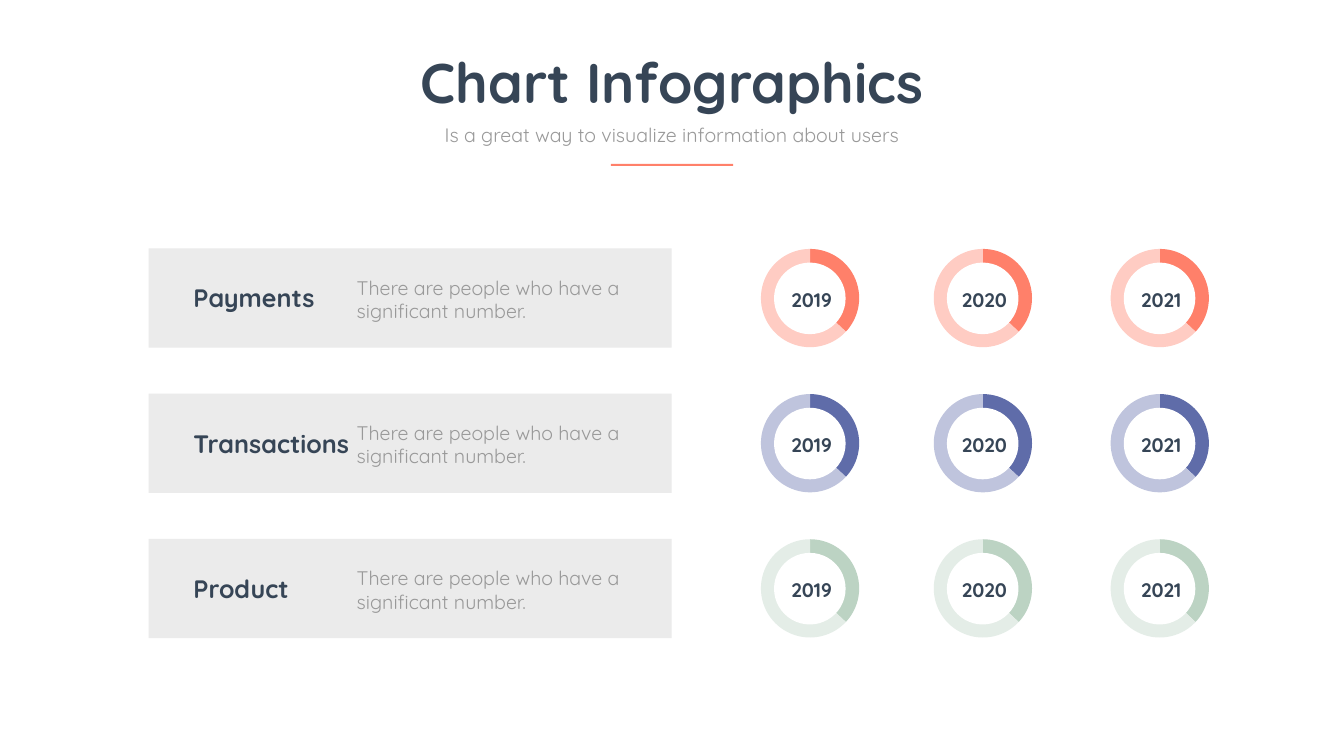
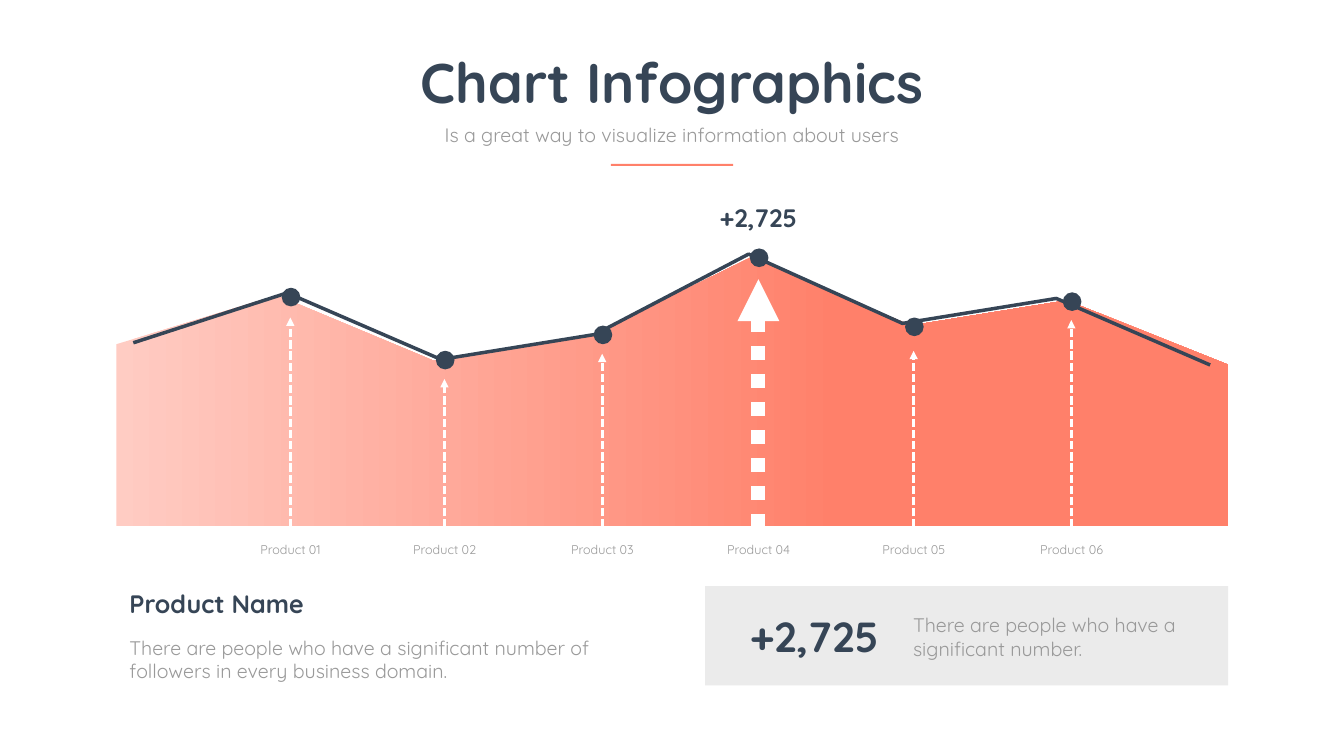
from dataclasses import dataclass

from lxml import etree
from pptx import Presentation
from pptx import util as u
from pptx.chart.data import CategoryChartData
from pptx.dml.color import RGBColor
from pptx.enum import chart as ch, dml, shapes, text
from pptx.oxml import parse_xml
from pptx.oxml.ns import nsdecls, qn

PX = 9144  # EMU in one px, 100 px to the inch
FONT = "Quicksand"
NAVY, GREY, PALE, WHITE = "364556", "999999", "EBEBEB", "FFFFFF"
CORAL, CORAL_LIGHT = "FF806A", "FFCCC3"
DESCRIPTION = "There are people who have a significant number."
GAIN = "+2,725"


@dataclass(frozen=True)
class Box:
    x: int
    y: int
    w: int
    h: int

    def emu(self) -> tuple:
        return tuple(u.Emu(v * PX) for v in (self.x, self.y, self.w, self.h))


@dataclass(frozen=True)
class Style:
    size: int
    color: str = GREY
    bold: bool = False
    align: text.PP_ALIGN = text.PP_ALIGN.LEFT
    inset: tuple = (10, 5)


@dataclass(frozen=True)
class Metric:
    name: str
    dark: str
    light: str


@dataclass(frozen=True)
class Product:
    x: int
    dot_top: int
    arrow_top: int
    best: bool = False


CENTER = text.PP_ALIGN.CENTER
TITLE = Style(80, NAVY, True, CENTER)
SUBTITLE = Style(28, align=CENTER)
HEADING = Style(36, NAVY, True)
HEADING_CENTER = Style(36, NAVY, True, CENTER)
BIG_NUMBER = Style(60, NAVY, True)
BODY = Style(28)
YEAR = Style(28, NAVY, True, CENTER, (6, 6))
AXIS_LABEL = Style(18, align=CENTER)

METRICS = (
    Metric("Payments", CORAL, CORAL_LIGHT),
    Metric("Transactions", "5F6CA9", "BFC4DD"),
    Metric("Product", "BCD3C3", "E4EDE7"),
)
YEAR_LEFTS = {"2019": 1509, "2020": 1852, "2021": 2203}
ROW_TOP, ROW_STEP = 493, 288
PANEL_W, PANEL_H = 1038, 197
SHARE = (37, 63)

PRODUCTS = (
    Product(576, 571, 630),
    Product(882, 696, 752),
    Product(1195, 646, 702),
    Product(1505, 493, 554, best=True),
    Product(1813, 630, 696),
    Product(2126, 580, 635),
)
AREA = ((231, 683), (550, 586), (861, 716), (1175, 665), (1492, 510),
        (1807, 646), (2117, 596), (2438, 724), (2438, 1044), (231, 1044))
TREND = (68, 86, 62, 71, 100, 75, 84, 60)
ARROW_BASE = 1047


def rgb(color: str) -> RGBColor:
    return RGBColor.from_string(color)


def write(sp, content: str, style: Style, fit=text.MSO_AUTO_SIZE.SHAPE_TO_FIT_TEXT) -> None:
    tf = sp.text_frame
    tf.word_wrap = True
    tf.auto_size = fit
    tf.vertical_anchor = text.MSO_ANCHOR.TOP
    tf.margin_left = tf.margin_right = u.Emu(style.inset[0] * PX)
    tf.margin_top = tf.margin_bottom = u.Emu(style.inset[1] * PX)
    p = tf.paragraphs[0]
    p.text = content
    p.alignment = style.align
    p.font.name, p.font.size, p.font.bold = FONT, u.Pt(style.size), style.bold
    p.font.color.rgb = rgb(style.color)


def add_text(s, box: Box, content: str, style: Style) -> None:
    write(s.shapes.add_textbox(*box.emu()), content, style)


def add_filled(s, box: Box, color: str, kind=shapes.MSO_SHAPE.RECTANGLE) -> None:
    sp = s.shapes.add_shape(kind, *box.emu())
    sp.shadow.inherit = False
    sp.fill.solid()
    sp.fill.fore_color.rgb = rgb(color)
    sp.line.fill.background()


def add_plain_chart(s, box: Box, kind, values: tuple, plot: tuple, font: str, size: int):
    """Add a one-series chart without legend, title or background; plot is x, y, w, h in fractions."""
    data = CategoryChartData()
    data.categories = [str(n) for n in range(1, len(values) + 1)]
    data.add_series("Series 1", values)
    chart = s.shapes.add_chart(kind, *box.emu(), data).chart
    chart.has_legend = chart.has_title = False
    chart.font.name, chart.font.size = font, u.Pt(size)
    chart.font.color.rgb = rgb(GREY)

    plot_area = chart.element.find(".//" + qn("c:plotArea"))
    for old in plot_area.findall(qn("c:layout")):
        plot_area.remove(old)
    fields = "".join(f'<c:{k} val="{v}"/>' for k, v in zip("xywh", plot))
    plot_area.insert(0, parse_xml(
        f'<c:layout {nsdecls("c")}><c:manualLayout><c:layoutTarget val="inner"/>'
        f'<c:xMode val="edge"/><c:yMode val="edge"/>{fields}</c:manualLayout></c:layout>'))
    no_fill = (f'<c:spPr {nsdecls("c", "a")}><a:noFill/>'
               '<a:ln><a:noFill/></a:ln></c:spPr>')
    plot_area.append(parse_xml(no_fill))
    chart.element.find(qn("c:chart")).addnext(parse_xml(no_fill))
    return chart


def add_ring(s, x: int, y: int, year: str, metric: Metric) -> None:
    chart = add_plain_chart(s, Box(x, y, 197, 197), ch.XL_CHART_TYPE.PIE, SHARE,
                            (0.005, 0.005, 0.99, 0.99), "Calibri", 10)
    series = chart.plots[0].series[0]
    for i, color in enumerate((metric.dark, metric.light)):
        fmt = series.points[i].format
        fmt.fill.solid()
        fmt.fill.fore_color.rgb = rgb(color)
        fmt.line.fill.background()
    add_filled(s, Box(x + 27, y + 28, 142, 142), WHITE, shapes.MSO_SHAPE.OVAL)
    add_text(s, Box(x + 3, y + 72, 197, 58), year, YEAR)


def add_panel(s, x: int, y: int, heading: str, style: Style, heading_h: int) -> None:
    """Add a grey band with a heading and a short description, both centred in height."""
    add_filled(s, Box(x, y, PANEL_W, PANEL_H), PALE)
    add_text(s, Box(x + 79, y + (PANEL_H - heading_h) // 2, 339, heading_h), heading, style)
    add_text(s, Box(x + 403, y + 49, 565, 104), DESCRIPTION, BODY)


def add_arrow(s, product: Product) -> None:
    x, base, top = (u.Emu(v * PX) for v in (product.x, ARROW_BASE, product.arrow_top))
    arrow = s.shapes.add_connector(shapes.MSO_CONNECTOR.STRAIGHT, x, base, x, top)
    arrow.line.color.rgb = rgb(WHITE)
    arrow.line.width = u.Pt(20 if product.best else 4)
    dashes = dml.MSO_LINE
    arrow.line.dash_style = dashes.ROUND_DOT if product.best else dashes.SQUARE_DOT
    sp_pr = arrow.element.spPr
    etree.SubElement(sp_pr.find(qn("a:ln")), qn("a:tailEnd"), type="triangle")
    etree.SubElement(sp_pr, qn("a:effectLst"))


def add_area(s) -> None:
    builder = s.shapes.build_freeform(*AREA[0], scale=float(PX))
    builder.add_line_segments(AREA[1:], close=True)
    sp = builder.convert_to_shape()
    sp.shadow.inherit = False
    sp.line.fill.background()
    sp.fill.gradient()
    sp.fill.gradient_angle = 0
    stops = ((0, CORAL_LIGHT), (0.65, CORAL))
    for stop, (position, color) in zip(sp.fill.gradient_stops, stops):
        stop.position = position
        stop.color.rgb = rgb(color)


def add_trend(s) -> None:
    chart = add_plain_chart(s, Box(61, 430, 2544, 639), ch.XL_CHART_TYPE.LINE, TREND,
                            (0.02, 0.03, 0.96, 0.947), FONT, 20)
    axis = chart.value_axis
    axis.minimum_scale, axis.maximum_scale = 0, 110
    axis.has_major_gridlines = False
    axis.visible = chart.category_axis.visible = False
    chart.plots[0].vary_by_categories = False
    series = chart.plots[0].series[0]
    series.smooth = False
    series.marker.style = ch.XL_MARKER_STYLE.NONE
    series.format.line.color.rgb = rgb(NAVY)
    series.format.line.width = u.Pt(5)


def add_titled_slide(prs):
    s = prs.slides.add_slide(prs.slide_layouts[5])
    title = s.shapes.title
    title.left, title.top, title.width, title.height = Box(688, 90, 1291, 145).emu()
    write(title, "Chart Infographics", TITLE, text.MSO_AUTO_SIZE.NONE)
    add_text(s, Box(855, 238, 956, 57),
             "Is a great way to visualize information about users", SUBTITLE)
    add_filled(s, Box(1212, 325, 243, 4), CORAL)
    return s


def build_rings_slide(prs) -> None:
    s = add_titled_slide(prs)
    for row, metric in enumerate(METRICS):
        y = ROW_TOP + row * ROW_STEP
        add_panel(s, 295, y, metric.name, HEADING, 71)
        for year, x in YEAR_LEFTS.items():
            add_ring(s, x, y, year, metric)


def build_trend_slide(prs) -> None:
    s = add_titled_slide(prs)
    add_area(s)
    add_trend(s)
    for number, product in enumerate(PRODUCTS, 1):
        add_filled(s, Box(product.x - 17, product.dot_top, 37, 37), NAVY,
                   shapes.MSO_SHAPE.OVAL)
        add_arrow(s, product)
        add_text(s, Box(product.x - 133, 1070, 267, 40), f"Product {number:02}", AXIS_LABEL)
        if product.best:
            add_text(s, Box(product.x - 89, 397, 178, 71), GAIN, HEADING_CENTER)
    add_text(s, Box(247, 1163, 630, 71), "Product Name", HEADING)
    add_text(s, Box(247, 1256, 957, 104),
             "There are people who have a significant number of followers "
             "in every business domain.", BODY)
    add_panel(s, 1399, 1163, GAIN, BIG_NUMBER, 111)


def main() -> None:
    prs = Presentation()
    prs.slide_width, prs.slide_height = u.Emu(2667 * PX), u.Emu(1500 * PX)
    build_rings_slide(prs)
    build_trend_slide(prs)
    prs.save("out.pptx")


if __name__ == "__main__":
    main()
